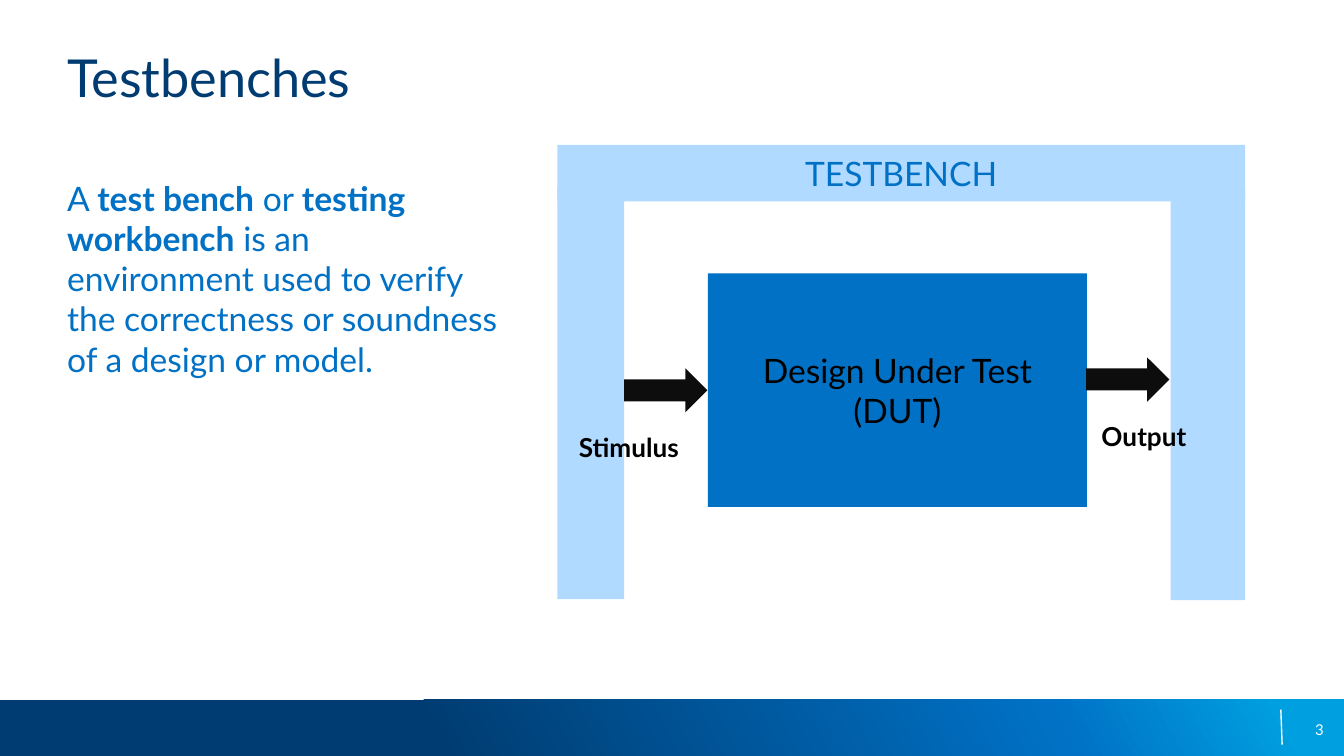
from copy import deepcopy

from pptx import Presentation
from pptx.dml.color import RGBColor
from pptx.enum.shapes import MSO_CONNECTOR, MSO_SHAPE
from pptx.enum.text import MSO_ANCHOR, PP_ALIGN
from pptx.oxml.ns import qn
from pptx.oxml.xmlchemy import OxmlElement
from pptx.util import Pt

RECTANGLE, RIGHT_ARROW = MSO_SHAPE.RECTANGLE, MSO_SHAPE.RIGHT_ARROW
STRAIGHT = MSO_CONNECTOR.STRAIGHT
TOP, MIDDLE = MSO_ANCHOR.TOP, MSO_ANCHOR.MIDDLE
LEFT, CENTER, RIGHT = PP_ALIGN.LEFT, PP_ALIGN.CENTER, PP_ALIGN.RIGHT

FONT = "Lato"
COLORS = {
    "navy": "003C71", "blue": "0071C5", "cyan": "009FDF", "pale": "B0DAFF",
    "ink": "0D0D0D", "black": "000000", "white": "FFFFFF",
}

FOOTER_BOX = (0, 375, 720, 30)
FOOTER_STOPS = [(0.32, "navy"), (0.78, "blue"), (0.95, "cyan")]
FOOTER_ANGLE = 29
DIVIDER = (686.16, 380.16, 686.88, 398.88)

DEFINITION = [
    ("A ", False), ("test bench", True), (" or ", False), ("testing workbench", True),
    (" is an environment used to verify the correctness or soundness of a design or model.", False),
]

PLAIN_TEXTS = [
    ((541.44, 380.16, 167.76, 21.6), [[("3", False)]], 8, "white", RIGHT, MIDDLE),
    ((36, 95.04, 233.28, 159.12), [DEFINITION], 18, "blue", LEFT, TOP),
    ((36, 24.48, 648, 68.4), [[("Testbenches", False)]], 28, "navy", LEFT, TOP),
]

BLOCKS = [
    ((379.2, 146.4, 203.2, 125.2), "blue", ["Design Under Test", "(DUT)"], "black"),
    ((298.6, 100, 35.8, 221), "pale", [], None),
    ((627.2, 101.4, 39.9, 220.2), "pale", [], None),
    ((298.6, 77.6, 368.5, 30.3), "pale", ["TESTBENCH"], "blue"),
]

ARROW_SIZE = (44.6, 23.6)
LABEL_DROP, LABEL_HEIGHT = 30.2, 24.2
SIGNALS = [
    ("Stimulus", 334.4, 197.3, 303, 84.2),
    ("Output", 581.8, 191.5, 583, 82.8),
]


def color(name):
    return RGBColor.from_string(COLORS[name])


def write(shape, paragraphs, size, color_name, alignment, anchor, inset=None):
    frame = shape.text_frame
    settings = {"word_wrap": True, "vertical_anchor": anchor}
    if inset is not None:
        for side in ("left", "top", "right", "bottom"):
            settings[f"margin_{side}"] = Pt(inset)
    for name, value in settings.items():
        setattr(frame, name, value)
    for index, runs in enumerate(paragraphs):
        paragraph = frame.paragraphs[0] if index == 0 else frame.add_paragraph()
        paragraph.alignment = alignment
        for text, bold in runs:
            run = paragraph.add_run()
            run.text = text
            for name, value in {"name": FONT, "size": Pt(size), "bold": bold}.items():
                setattr(run.font, name, value)
            run.font.color.rgb = color(color_name)


def add_block(slide, kind, box, fill=None):
    shape = slide.shapes.add_shape(kind, *map(Pt, box))
    shape.shadow.inherit = False
    shape.line.fill.background()
    if fill:
        shape.fill.solid()
        shape.fill.fore_color.rgb = color(fill)
    return shape


def add_footer(slide):
    band = add_block(slide, RECTANGLE, FOOTER_BOX)
    band.fill.gradient()
    band.fill.gradient_angle = FOOTER_ANGLE
    stop_list = next(band._element.iter(qn("a:gsLst")))
    stop_list.append(deepcopy(stop_list[-1]))
    for stop, (position, name) in zip(band.fill.gradient_stops, FOOTER_STOPS):
        stop.position = position
        stop.color.rgb = color(name)
    divider = slide.shapes.add_connector(STRAIGHT, *map(Pt, DIVIDER))
    divider.line.color.rgb = color("white")
    divider.line.width = Pt(0.75)
    divider._element.spPr.append(OxmlElement("a:effectLst"))


def add_signal(slide, label, left, top, label_left, label_width):
    add_block(slide, RIGHT_ARROW, (left, top, *ARROW_SIZE), "ink")
    label_box = (label_left, top + LABEL_DROP, label_width, LABEL_HEIGHT)
    textbox = slide.shapes.add_textbox(*map(Pt, label_box))
    write(textbox, [[(label, True)]], 14, "black", LEFT, TOP)


def main():
    presentation = Presentation()
    presentation.slide_width, presentation.slide_height = Pt(720), Pt(405)
    slide = presentation.slides.add_slide(presentation.slide_layouts[6])

    add_footer(slide)
    for box, paragraphs, size, color_name, alignment, anchor in PLAIN_TEXTS:
        textbox = slide.shapes.add_textbox(*map(Pt, box))
        write(textbox, paragraphs, size, color_name, alignment, anchor, inset=0)
    for box, fill, lines, text_color in BLOCKS:
        block = add_block(slide, RECTANGLE, box, fill)
        write(block, [[(line, False)] for line in lines], 18, text_color, CENTER, MIDDLE)
    for signal in SIGNALS:
        add_signal(slide, *signal)

    presentation.save("out.pptx")


if __name__ == "__main__":
    main()
